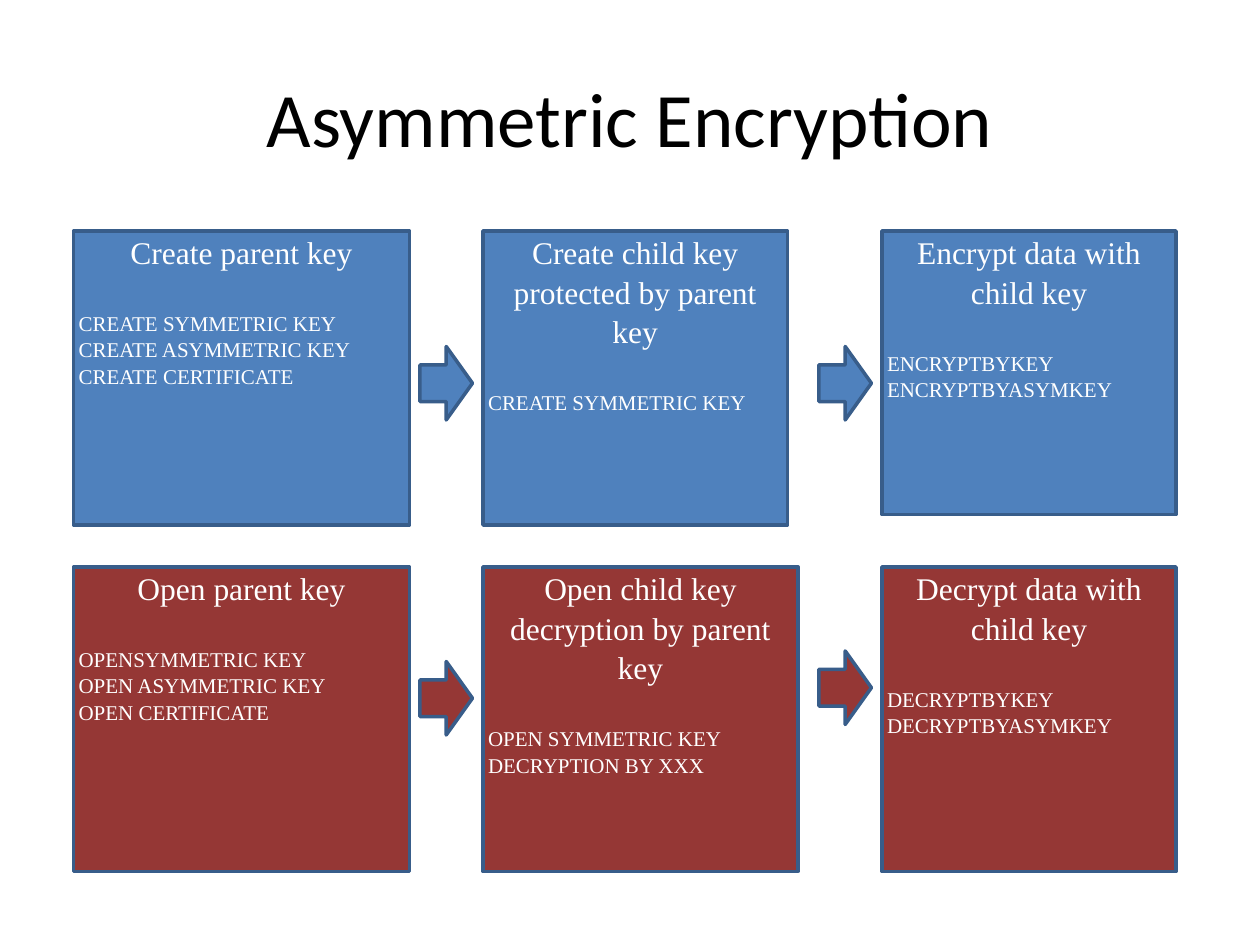
from pptx import Presentation
from pptx.dml.color import RGBColor
from pptx.enum.shapes import MSO_SHAPE as SHAPE
from pptx.enum.text import MSO_ANCHOR as ANCHOR, PP_ALIGN as ALIGN
from pptx.util import Inches, Pt

COLORS = {"encrypt": "4F81BD", "decrypt": "953735", "edge": "385D8A",
          "text": "FFFFFF", "title": "000000"}

# Content: per row, steps of (heading, commands, width, height) in grid units
TITLE = "Asymmetric Encryption"
ROWS = [
    {"color": "encrypt", "top": 22, "arrow_tops": [33, 33], "steps": [
        ("Create parent key",
         ["CREATE SYMMETRIC KEY", "CREATE ASYMMETRIC KEY", "CREATE CERTIFICATE"], 32, 28),
        ("Create child key protected by parent key", ["CREATE SYMMETRIC KEY"], 29, 28),
        ("Encrypt data with child key", ["ENCRYPTBYKEY", "ENCRYPTBYASYMKEY"], 28, 27),
    ]},
    {"color": "decrypt", "top": 54, "arrow_tops": [63, 62], "steps": [
        ("Open parent key",
         ["OPENSYMMETRIC KEY", "OPEN ASYMMETRIC KEY", "OPEN CERTIFICATE"], 32, 29),
        ("Open child key decryption by parent key",
         ["OPEN SYMMETRIC KEY", "DECRYPTION BY XXX"], 30, 29),
        ("Decrypt data with child key", ["DECRYPTBYKEY", "DECRYPTBYASYMKEY"], 28, 29),
    ]},
]

# Grid of twelfths of an inch
UNIT = Inches(1) // 12
STEP_LEFTS = [7, 46, 84]
ARROW_W, ARROW_H, ARROW_GAP = 5, 7, 1

FRAME = {"word_wrap": True, "vertical_anchor": ANCHOR.TOP,
         "margin_left": Inches(0.04), "margin_right": Inches(0.04),
         "margin_top": 0, "margin_bottom": 0}
HEADING = {"alignment": ALIGN.CENTER, "line_spacing": 1.05}
COMMAND = {"alignment": ALIGN.LEFT, "line_spacing": 1.05}
COMMAND_GAP = Pt(22)


def rgb(name):
    return RGBColor.from_string(COLORS[name])


def apply(obj, values):
    for name, value in values.items():
        setattr(obj, name, value)


def write(p, text, size, font, color):
    r = p.add_run()
    r.text = text
    apply(r.font, {"size": Pt(size), "name": font})
    r.font.color.rgb = rgb(color)


def add_block(slide, kind, box, color):
    sp = slide.shapes.add_shape(kind, *(n * UNIT for n in box))
    sp.shadow.inherit = False
    sp.fill.solid()
    sp.fill.fore_color.rgb = rgb(color)
    sp.line.color.rgb = rgb("edge")
    sp.line.width = Pt(2)
    return sp


def add_step(slide, box, color, heading, commands):
    tf = add_block(slide, SHAPE.RECTANGLE, box, color).text_frame
    apply(tf, FRAME)
    p = tf.paragraphs[0]
    apply(p, HEADING)
    write(p, heading, 18, "Times New Roman", "text")
    for i, command in enumerate(commands):
        p = tf.add_paragraph()
        apply(p, COMMAND)
        p.space_before = Pt(0) if i else COMMAND_GAP
        write(p, command, 12, "Times New Roman", "text")


prs = Presentation()
prs.slide_width, prs.slide_height = Inches(10), Inches(7.5)
slide = prs.slides.add_slide(prs.slide_layouts[5])

# Title
title = slide.shapes.title
apply(title, {"left": Inches(0.5), "top": Inches(0.3),
              "width": Inches(9), "height": Inches(1.25)})
title.text_frame.vertical_anchor = ANCHOR.MIDDLE
p = title.text_frame.paragraphs[0]
p.alignment = ALIGN.CENTER
write(p, TITLE, 44, "Calibri", "title")

# Steps, then the arrows that lead to the second and third step
for row in ROWS:
    for left, (heading, commands, width, height) in zip(STEP_LEFTS, row["steps"]):
        add_step(slide, (left, row["top"], width, height), row["color"], heading, commands)
    for left, top in zip(STEP_LEFTS[1:], row["arrow_tops"]):
        box = (left - ARROW_GAP - ARROW_W, top, ARROW_W, ARROW_H)
        add_block(slide, SHAPE.RIGHT_ARROW, box, row["color"])

prs.save("out.pptx")
